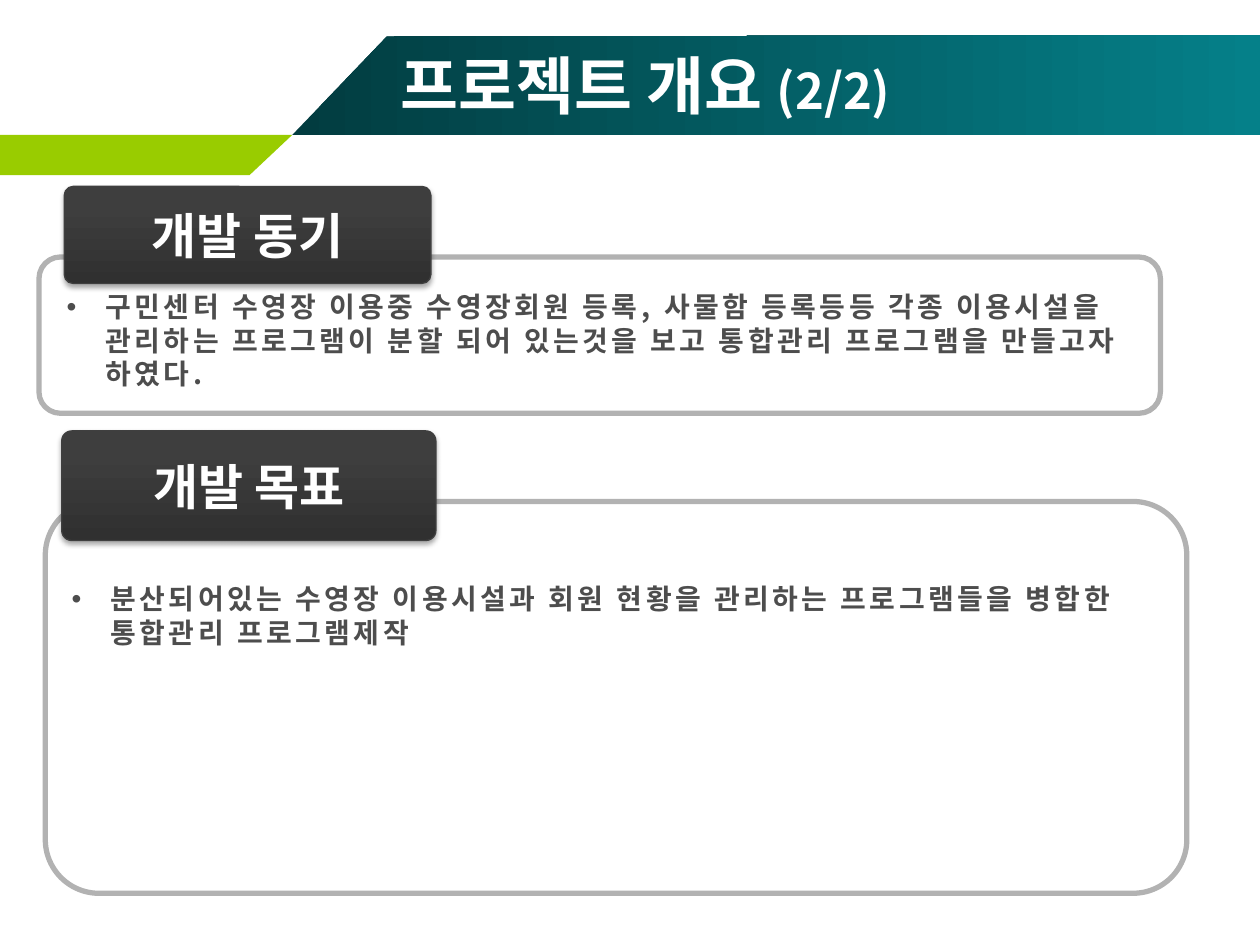
from dataclasses import dataclass

from lxml.etree import SubElement
from pptx import Presentation
from pptx.dml.color import RGBColor
from pptx.enum.shapes import MSO_SHAPE as Shape
from pptx.enum.text import MSO_ANCHOR as Anchor, MSO_AUTO_SIZE as AutoSize, PP_ALIGN as Align
from pptx.oxml.ns import qn
from pptx.util import Inches, Pt

FONT = "Noto Sans CJK KR"
COLORS = {
    "white": "FFFFFF", "header_dark": "023C40", "header_light": "058089",
    "lime": "99CC00", "frame": "B2B2B2", "label_dark": "303030",
    "label_light": "3E3E3E", "label_line": "3F3F3F", "body": "4D4D4D",
}
Box = tuple[float, float, float, float]


@dataclass
class Section:
    heading: str
    body: str
    frame: Box
    label: Box
    text: Box


SECTIONS = [
    Section("개발 목표",
            "분산되어있는 수영장 이용시설과 회원 현황을 관리하는 프로그램들을 병합한 통합관리 프로그램제작",
            (0.36, 3.98, 9.06, 3.11), (0.49, 3.42, 2.97, 0.87), (0.47, 4.57, 8.82, 0.64)),
    Section("개발 동기",
            "구민센터 수영장 이용중 수영장회원 등록, 사물함 등록등등 각종 이용시설을 관리하는 "
            "프로그램이 분할 되어 있는것을 보고 통합관리 프로그램을 만들고자 하였다.",
            (0.31, 2.04, 8.9, 1.24), (0.51, 1.48, 2.91, 0.77), (0.43, 2.25, 8.66, 0.91)),
]


def rgb(name: str) -> RGBColor:
    return RGBColor.from_string(COLORS[name])


def place(box: Box) -> list[int]:
    return [Inches(v) for v in box]


def add_run(p, text: str, size: float, color: str):
    r = p.add_run()
    r.text = text
    r.font.size, r.font.bold, r.font.name = Pt(size), True, FONT
    r.font.color.rgb = rgb(color)
    SubElement(r._r.get_or_add_rPr(), qn("a:ea"), typeface=FONT)
    return r


def fill_gradient(sp, start: str, end: str, angle: float, end_at: float = 1) -> None:
    sp.fill.gradient()
    sp.fill.gradient_angle = angle
    first, last = sp.fill.gradient_stops
    first.color.rgb, first.position = rgb(start), 0
    last.color.rgb, last.position = rgb(end), end_at


def add_outline(slide, points: list[tuple[float, float]]):
    (x, y), *rest = [(Inches(x), Inches(y)) for x, y in points]
    builder = slide.shapes.build_freeform(x, y)
    builder.add_line_segments(rest, close=True)
    sp = builder.convert_to_shape()
    sp.line.fill.background()
    sp.shadow.inherit = False
    return sp


def add_round_box(slide, box: Box, radius: float, line: str, width: float):
    sp = slide.shapes.add_shape(Shape.ROUNDED_RECTANGLE, *place(box))
    sp.adjustments[0] = radius
    sp.line.color.rgb, sp.line.width = rgb(line), Pt(width)
    sp.shadow.inherit = False
    return sp


def add_frame(slide, box: Box) -> None:
    sp = add_round_box(slide, box, 0.137, "frame", 3)
    sp.fill.solid()
    sp.fill.fore_color.rgb = rgb("white")
    color = sp._element.spPr.find(qn("a:solidFill"))[0]
    SubElement(color, qn("a:alpha"), val="31000")


def add_label(slide, box: Box, text: str) -> None:
    sp = add_round_box(slide, box, 0.091, "label_line", 0.75)
    fill_gradient(sp, "label_dark", "label_light", 90, 0.8)
    # Soft shadow falling straight down
    effects = sp._element.spPr.find(qn("a:effectLst"))
    shadow = SubElement(effects, qn("a:outerShdw"), blurRad=str(Pt(3.1)),
                        dist=str(Pt(1.8)), dir="5400000", rotWithShape="0")
    color = SubElement(shadow, qn("a:srgbClr"), val="000000")
    SubElement(color, qn("a:alpha"), val="35000")
    tf = sp.text_frame
    tf.word_wrap, tf.vertical_anchor = False, Anchor.MIDDLE
    p = tf.paragraphs[0]
    p.alignment = Align.CENTER
    add_run(p, text, 28, "white")


def add_bullet_text(slide, box: Box, text: str) -> None:
    tf = slide.shapes.add_textbox(*place(box)).text_frame
    tf.word_wrap, tf.auto_size = True, AutoSize.SHAPE_TO_FIT_TEXT
    p = tf.paragraphs[0]
    p.space_after = Pt(2.4)
    pPr = p._p.get_or_add_pPr()
    pPr.set("marL", str(Inches(0.31)))
    pPr.set("indent", str(Inches(-0.31)))
    SubElement(pPr, qn("a:buFont"), typeface="Arial")
    SubElement(pPr, qn("a:buChar"), char="•")
    r = add_run(p, text, 16, "body")
    r._r.get_or_add_rPr().set("spc", "200")


def add_title(slide) -> None:
    tf = slide.shapes.add_textbox(*place((3.08, 0.36, 6.67, 0.62))).text_frame
    tf.word_wrap, tf.vertical_anchor = True, Anchor.MIDDLE
    p = tf.paragraphs[0]
    add_run(p, "프로젝트 개요 ", 36, "white")
    add_run(p, "(2/2)", 28, "white")


def main() -> None:
    prs = Presentation()
    prs.slide_width, prs.slide_height = Inches(10), Inches(7.5)
    slide = prs.slides.add_slide(prs.slide_layouts[6])

    # Header band and accent
    band = add_outline(slide, [(2.32, 1.07), (10.01, 1.07), (10.01, 0.28), (3.07, 0.29)])
    fill_gradient(band, "header_dark", "header_light", 0)
    accent = add_outline(slide, [(0, 1.07), (2.32, 1.07), (1.98, 1.39), (0, 1.39)])
    accent.fill.solid()
    accent.fill.fore_color.rgb = rgb("lime")
    add_title(slide)

    # Framed sections
    for section in SECTIONS:
        add_frame(slide, section.frame)
        add_label(slide, section.label, section.heading)
        add_bullet_text(slide, section.text, section.body)

    prs.save("out.pptx")


if __name__ == "__main__":
    main()
